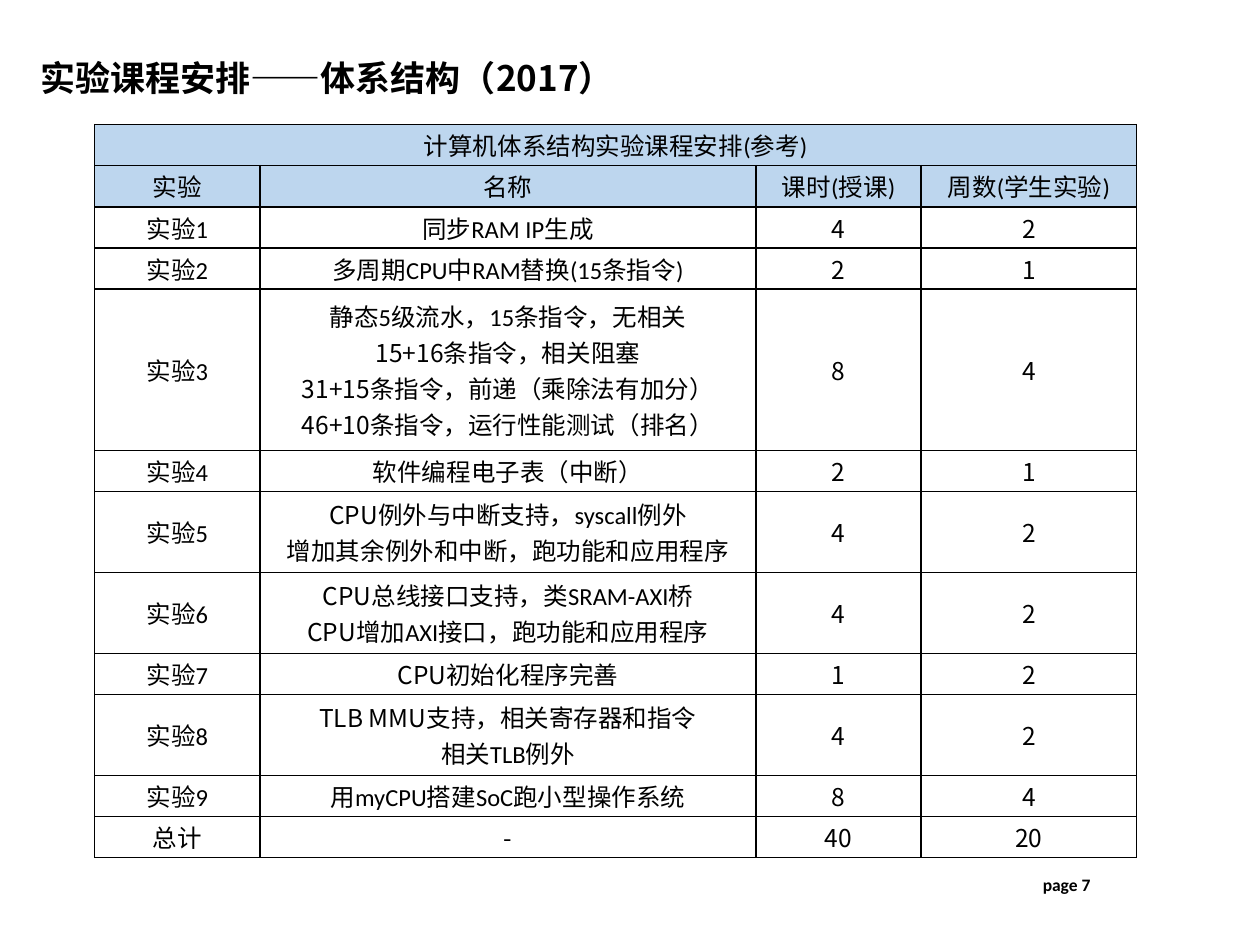
from lxml.etree import SubElement
from pptx import Presentation
from pptx.dml.color import RGBColor
from pptx.enum.text import MSO_ANCHOR, PP_ALIGN
from pptx.oxml.ns import qn
from pptx.util import Cm, Pt

BLACK = RGBColor(0x00, 0x00, 0x00)
HEADER_BLUE = RGBColor(0xBD, 0xD6, 0xEE)
CALIBRI = "Calibri"
NOTO = "Noto Sans CJK SC"


def write(text_frame, text, size=14, font=CALIBRI, bold=False,
          align=PP_ALIGN.CENTER, anchor=MSO_ANCHOR.MIDDLE):
    """Write one paragraph per line; the part of a line before "|" is set in Noto."""
    text_frame.word_wrap = True
    text_frame.vertical_anchor = anchor
    for index, line in enumerate(text.split("\n")):
        paragraph = text_frame.paragraphs[0] if index == 0 else text_frame.add_paragraph()
        paragraph.alignment = align
        lead, _, rest = line.rpartition("|")
        for part, part_font in ((lead, NOTO), (rest, font)):
            if not part:
                continue
            run = paragraph.add_run()
            run.text = part
            run.font.size = Pt(size)
            run.font.bold = bold
            run.font.color.rgb = BLACK
            run.font.name = part_font
            SubElement(run._r.get_or_add_rPr(), qn("a:ea"), typeface=NOTO)


def add_borders(cell, top=1, bottom=1):
    properties = cell._tc.get_or_add_tcPr()
    for side, width in (("L", 1), ("R", 1), ("T", top), ("B", bottom)):
        line = SubElement(properties, qn(f"a:ln{side}"), w=str(Pt(width)))
        fill = SubElement(line, qn("a:solidFill"))
        SubElement(fill, qn("a:srgbClr"), val=str(BLACK))


presentation = Presentation()
presentation.slide_width = Cm(25.4)
presentation.slide_height = Cm(19.05)
slide = presentation.slides.add_slide(presentation.slide_layouts[6])

page_number = slide.shapes.add_textbox(Cm(16.31), Cm(17.32), Cm(5.92), Cm(1.02))
write(page_number.text_frame, "page 7", size=10, bold=True, align=PP_ALIGN.RIGHT)

title = slide.shapes.add_textbox(Cm(0.61), Cm(0.97), Cm(14.91), Cm(1.12))
title.text_frame.margin_left = title.text_frame.margin_right = Cm(0.2)
title.text_frame.margin_top = title.text_frame.margin_bottom = Cm(0.1)
write(title.text_frame, "实验课程安排——体系结构（2017）", size=20, font=NOTO, bold=True,
      align=PP_ALIGN.LEFT, anchor=MSO_ANCHOR.BOTTOM)

HEADER_ROWS = 2
schedule = [
    ("计算机体系结构实验课程安排(参考)", "", "", ""),
    ("实验", "名称", "课时(授课)", "周数(学生实验)"),
    ("实验1", "同步RAM IP生成", "4", "2"),
    ("实验2", "多周期CPU中RAM替换(15条指令)", "2", "1"),
    ("实验3", "静态5级流水，15条指令，无相关\n15+16|条指令，相关阻塞\n"
              "31+15|条指令，前递（乘除法有加分）\n46+10|条指令，运行性能测试（排名）", "8", "4"),
    ("实验4", "软件编程电子表（中断）", "2", "1"),
    ("实验5", "CPU|例外与中断支持，syscall例外\n增加其余例外和中断，跑功能和应用程序", "4", "2"),
    ("实验6", "CPU|总线接口支持，类SRAM-AXI桥\nCPU|增加AXI接口，跑功能和应用程序", "4", "2"),
    ("实验7", "CPU|初始化程序完善", "1", "2"),
    ("实验8", "TLB MMU|支持，相关寄存器和指令\n相关TLB例外", "4", "2"),
    ("实验9", "用myCPU搭建SoC跑小型操作系统", "8", "4"),
    ("总计", "-|", "40", "20"),
]
column_widths = [3.33, 10, 3.33, 4.34]
height_by_lines = {1: 0.83, 2: 1.63, 4: 3.25}
row_heights = [height_by_lines[row[1].count("\n") + 1] for row in schedule]

table = slide.shapes.add_table(len(schedule), len(column_widths), Cm(1.91), Cm(2.51),
                               Cm(sum(column_widths)), Cm(sum(row_heights))).table
table.first_row = False
table.horz_banding = False
for column, width in zip(table.columns, column_widths):
    column.width = Cm(width)
for row, height in zip(table.rows, row_heights):
    row.height = Cm(height)
table.cell(0, 0).merge(table.cell(0, len(column_widths) - 1))

for row_index, texts in enumerate(schedule):
    is_header = row_index < HEADER_ROWS
    for column_index, text in enumerate(texts):
        cell = table.cell(row_index, column_index)
        cell.margin_left = cell.margin_right = Cm(0.18)
        cell.margin_top = cell.margin_bottom = 0
        cell.vertical_anchor = MSO_ANCHOR.MIDDLE
        add_borders(cell, top=1.5 if row_index == HEADER_ROWS else 1,
                    bottom=1.5 if row_index == HEADER_ROWS - 1 else 1)
        if is_header:
            cell.fill.solid()
            cell.fill.fore_color.rgb = HEADER_BLUE
        else:
            cell.fill.background()
        if text:
            is_number = column_index >= 2 and not is_header
            write(cell.text_frame, text, font=NOTO if is_number else CALIBRI, anchor=None)

presentation.save("out.pptx")
